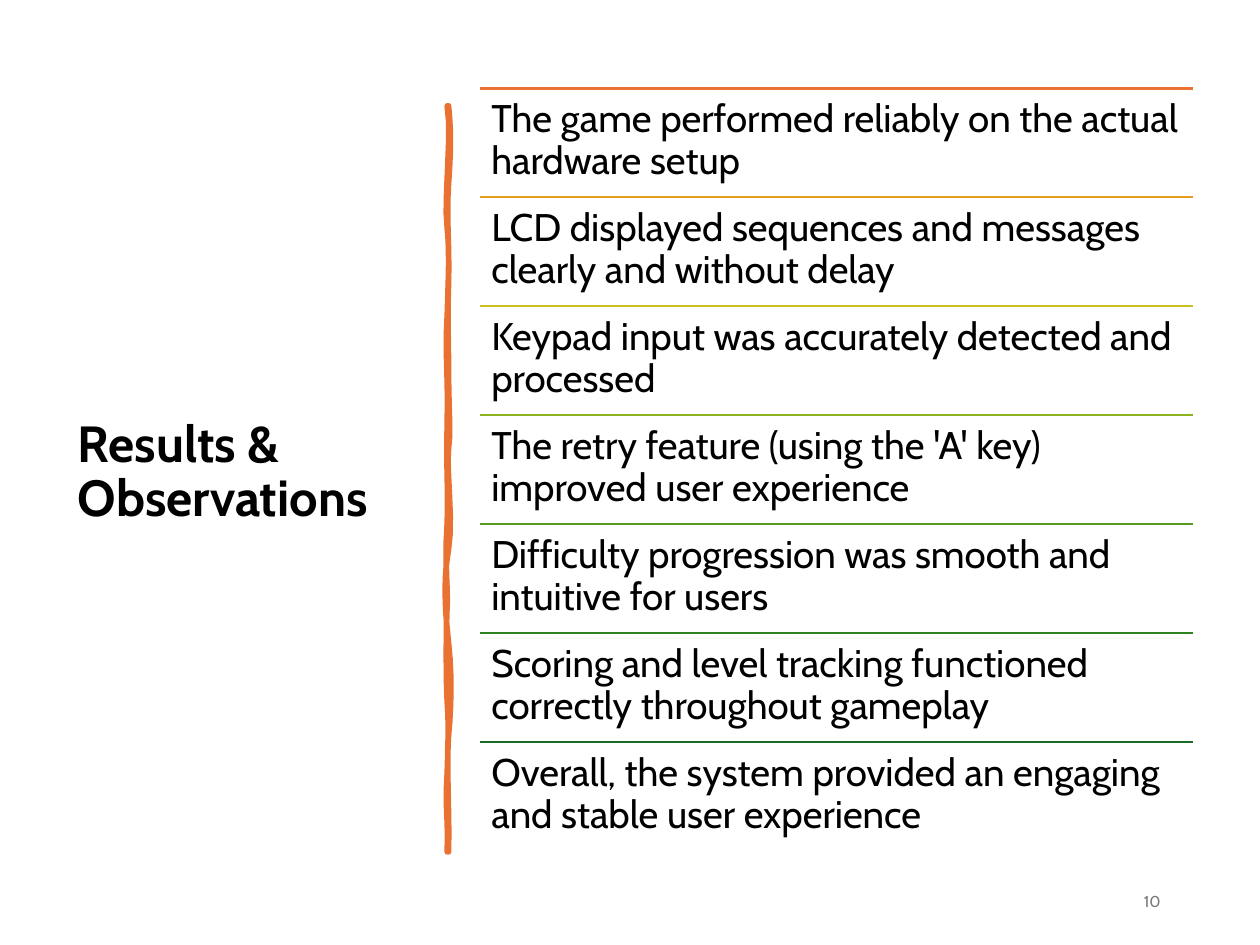
from lxml.etree import SubElement
from pptx import Presentation
from pptx.dml.color import RGBColor
from pptx.enum.shapes import MSO_CONNECTOR
from pptx.enum.text import MSO_ANCHOR, PP_ALIGN
from pptx.oxml.ns import qn
from pptx.util import Inches, Pt

WIDE, HIGH = 10, 7.5
LEFT, SPAN = 3.81, 5.66
TOP, ROW = 0.7, 0.865
FONT = "Cabin"
HEX = {"text": "000000", "page": "797979", "bar": "E97132"}
ITEMS = [
    ("E97132", "The game performed reliably on the actual hardware setup"),
    ("E39D1F", "LCD displayed sequences and messages clearly and without delay"),
    ("CBC11E", "Keypad input was accurately detected and processed"),
    ("8EB21E", "The retry feature (using the 'A' key) improved user experience"),
    ("56991D", "Difficulty progression was smooth and intuitive for users"),
    ("2C821B", "Scoring and level tracking functioned correctly throughout gameplay"),
    ("196B24", "Overall, the system provided an engaging and stable user experience"),
]
START = (3.56, 0.84)
CURVES = [
    ((3.58, 1.02), (3.58, 1.19), (3.56, 1.46)),
    ((3.54, 1.73), (3.57, 1.95), (3.56, 2.26)),
    ((3.55, 2.57), (3.56, 2.62), (3.56, 2.94)),
    ((3.56, 3.25), (3.58, 3.42), (3.56, 3.56)),
    ((3.54, 3.7), (3.6, 4.14), (3.56, 4.36)),
    ((3.52, 4.57), (3.53, 4.84), (3.56, 5.1)),
    ((3.59, 5.36), (3.58, 5.64), (3.56, 5.84)),
    ((3.54, 6.03), (3.57, 6.5), (3.56, 6.76)),
    ((3.56, 6.75), (3.55, 6.75), (3.55, 6.76)),
    ((3.56, 6.46), (3.53, 6.44), (3.55, 6.13)),
    ((3.56, 5.83), (3.56, 5.7), (3.55, 5.57)),
    ((3.54, 5.44), (3.54, 4.95), (3.55, 4.77)),
    ((3.55, 4.59), (3.53, 4.45), (3.55, 4.15)),
    ((3.56, 3.86), (3.54, 3.73), (3.55, 3.35)),
    ((3.56, 2.98), (3.53, 2.81), (3.55, 2.5)),
    ((3.56, 2.18), (3.57, 2), (3.55, 1.81)),
    ((3.52, 1.63), (3.59, 1.04), (3.55, 0.84)),
]


def color(code):
    """Turn a hex string into a colour."""
    return RGBColor.from_string(code)


def write(slide, box, text, size, tint=HEX["text"], bold=False,
          anchor=MSO_ANCHOR.TOP, align=PP_ALIGN.LEFT, lead=0.9, pad=0.1):
    """Add a wrapped text box holding one run."""
    frame = slide.shapes.add_textbox(*map(Inches, box)).text_frame
    frame.word_wrap = True
    frame.vertical_anchor = anchor
    frame.margin_left = frame.margin_right = Inches(pad)
    frame.margin_top = frame.margin_bottom = Inches(min(pad, 0.09))
    para = frame.paragraphs[0]
    para.alignment = align
    para.line_spacing = lead
    run = para.add_run()
    run.text = text
    font = run.font
    font.name, font.size, font.bold = FONT, Pt(size), bold
    font.color.rgb = color(tint)


def rule(slide, top, tint):
    """Draw a level line across the list column."""
    line = slide.shapes.add_connector(
        MSO_CONNECTOR.STRAIGHT, Inches(LEFT), Inches(top),
        Inches(LEFT + SPAN), Inches(top))
    line.line.color.rgb = color(tint)
    line.line.width = Pt(1.5)
    SubElement(line.element.spPr, qn("a:effectLst"))


def trace(start, curves, steps=6):
    """Yield points in EMU along a chain of cubic curves."""
    for one, two, end in curves:
        for step in range(1, steps + 1):
            t = step / steps
            u = 1 - t
            yield tuple(
                Inches(u**3 * a + 3 * u * u * t * b + 3 * u * t * t * c + t**3 * d)
                for a, b, c, d in zip(start, one, two, end))
        start = end


def brush(slide):
    """Draw the wavy upright bar."""
    pen = slide.shapes.build_freeform(*map(Inches, START))
    pen.add_line_segments(list(trace(START, CURVES)), close=True)
    bar = pen.convert_to_shape()
    bar.shadow.inherit = False
    bar.fill.solid()
    bar.fill.fore_color.rgb = color(HEX["bar"])
    bar.line.color.rgb = color(HEX["bar"])
    bar.line.width = Pt(3.25)
    SubElement(bar.element.spPr.find(qn("a:ln")), qn("a:round"))


def main():
    """Build and save the slide."""
    deck = Presentation()
    deck.slide_width, deck.slide_height = Inches(WIDE), Inches(HIGH)
    slide = deck.slides.add_slide(deck.slide_layouts[6])
    write(slide, (0.52, TOP, 0.28 * WIDE, 6.11), "Results & Observations", 29,
          bold=True, anchor=MSO_ANCHOR.MIDDLE)
    brush(slide)
    write(slide, (7.06, 6.95, 2.25, 0.4), "10", 9, HEX["page"],
          anchor=MSO_ANCHOR.MIDDLE, align=PP_ALIGN.RIGHT, lead=1)
    for row, (tint, text) in enumerate(ITEMS):
        top = TOP + row * ROW
        rule(slide, top, tint)
        write(slide, (LEFT, top, SPAN, ROW), text, 22, pad=0.09)
    deck.save("out.pptx")


if __name__ == "__main__":
    main()
